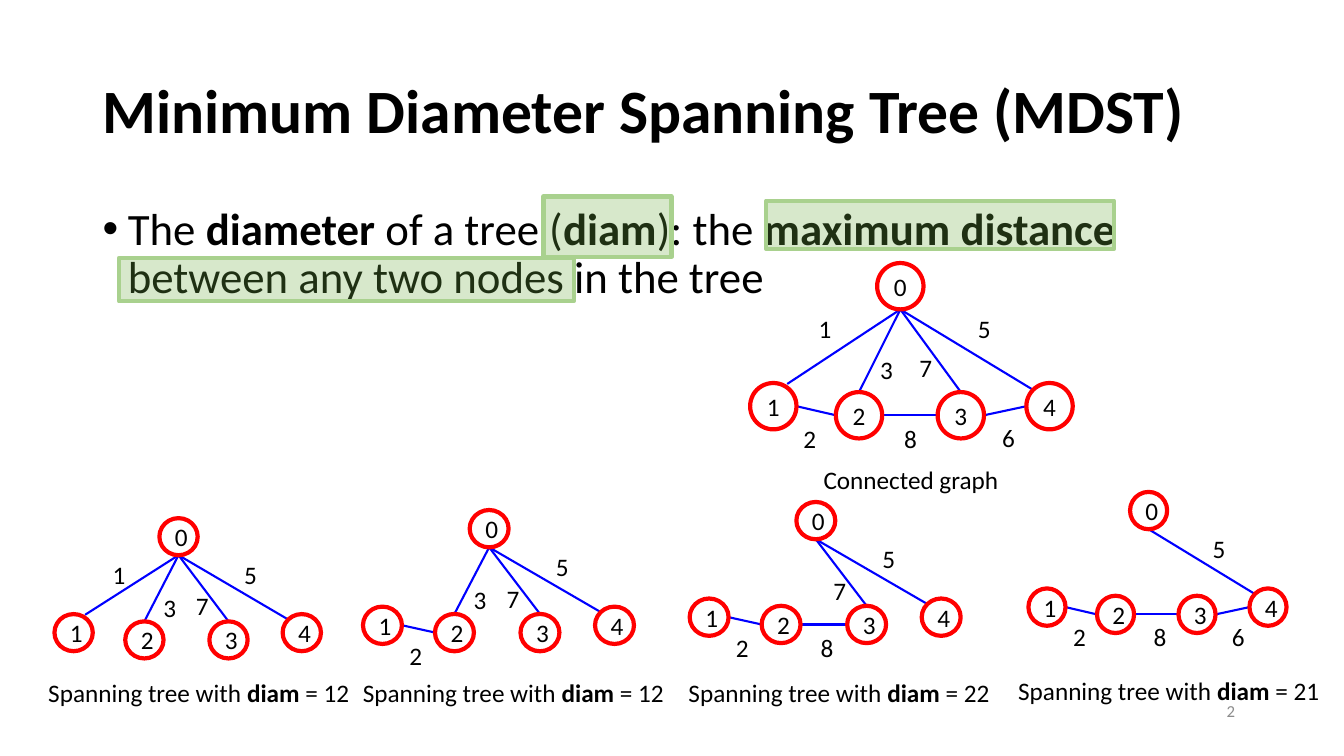
from lxml.etree import SubElement
from pptx import Presentation
from pptx.dml.color import RGBColor
from pptx.enum.shapes import MSO_CONNECTOR, MSO_SHAPE
from pptx.enum.text import MSO_ANCHOR, PP_ALIGN
from pptx.oxml.ns import qn
from pptx.util import Inches, Pt

SLIDE = (13.33, 7.5)
COLORS = {"text": "000000", "node": "FF0000", "edge": "0000FF", "number": "8C8C8C",
          "mark": "70AD47", "mark_line": "A9D18E"}
FONT = "Calibri"

TITLE = [("Minimum Diameter Spanning Tree (MDST)", True)]
DEFINITION = [("The ", False), ("diameter", True), (" of a tree (", False), ("diam", True),
              ("): the ", False), ("maximum distance", True),
              (" between any two nodes in the tree", False)]
PAGE = [("2", False)]
HIGHLIGHTS = [(5.39, 1.95, 1.27, 0.6), (7.6, 1.99, 3.45, 0.48), (1.18, 2.56, 4.51, 0.43)]

NODE = 0.46
NODES = {"0": (1.26, 0), "1": (0, 1.19), "2": (0.85, 1.28), "3": (1.86, 1.28), "4": (2.74, 1.19)}
TOP, BOTTOM, LEFT, RIGHT = (0.5, 0), (0.5, 1), (0, 0.5), (1, 0.5)
EDGES = {
    "1": ("1", (0.8, 0.02), "0", BOTTOM, (0.58, 0.45)),
    "3": ("2", TOP, "0", BOTTOM, (1.19, 0.86)),
    "7": ("3", TOP, "0", BOTTOM, (1.58, 0.84)),
    "5": ("4", (0.15, 0.15), "0", BOTTOM, (2.16, 0.45)),
    "2": ("2", LEFT, "1", RIGHT, (0.43, 1.54)),
    "8": ("3", LEFT, "2", RIGHT, (1.43, 1.54)),
    "6": ("4", LEFT, "3", RIGHT, (2.4, 1.53)),
}


def diam_caption(value):
    return [("Spanning tree with ", False), ("diam", True), (f" = {value}", False)]


GRAPHS = [
    ((0.54, 5.14), (0.826, 0.8), "1375", diam_caption(12), (0.38, 6.67, 3.22)),
    ((7.44, 2.61), (1, 1), "1375286", [("Connected graph", False)], (8.07, 4.56, 1.96)),
    ((3.6, 5.06), (0.84, 0.805), "3752", diam_caption(12), (3.5, 6.67, 3.22)),
    ((6.84, 4.98), (0.84, 0.805), "7528", diam_caption(22), (6.73, 6.67, 3.22)),
    ((10.2, 4.88), (0.8, 0.805), "5286", diam_caption(21), (10, 6.65, 3.22)),
]


def rgb(name):
    return RGBColor.from_string(COLORS[name])


def write(sp, runs, size, color="text", align=PP_ALIGN.LEFT, anchor=MSO_ANCHOR.TOP):
    tf = sp.text_frame
    tf.word_wrap = True
    tf.vertical_anchor = anchor
    p = tf.paragraphs[0]
    p.alignment = align
    for text, bold in runs:
        r = p.add_run()
        r.text = text
        r.font.name = FONT
        r.font.size = Pt(size)
        r.font.bold = bold
        r.font.color.rgb = rgb(color)
    return p


def add_text(s, box, runs, size, **style):
    sp = s.shapes.add_textbox(*map(Inches, box))
    return write(sp, runs, size, **style)


def add_outline(s, kind, box, color):
    sp = s.shapes.add_shape(kind, *map(Inches, box))
    sp.shadow.inherit = False
    sp.fill.background()
    sp.line.color.rgb = rgb(color)
    sp.line.width = Pt(3)
    return sp


def add_edge(s, start, end):
    line = s.shapes.add_connector(MSO_CONNECTOR.STRAIGHT, *map(Inches, start + end))
    line.line.color.rgb = rgb("edge")
    line.line.width = Pt(1.5)
    SubElement(line._element.spPr, qn("a:effectLst"))


def add_graph(s, origin, scale, weights, caption, caption_box):
    def place(x, y):
        return origin[0] + x * scale[0], origin[1] + y * scale[1]

    def port(node, share):
        x, y = NODES[node]
        return place(x + NODE * share[0], y + NODE * share[1])

    for weight in weights:
        a, a_port, b, b_port, label = EDGES[weight]
        add_edge(s, port(a, a_port), port(b, b_port))
        add_text(s, place(*label) + (0.33 * scale[0], 0.4), [(weight, False)], 18)
    for name, spot in NODES.items():
        box = place(*spot) + (NODE * scale[0], NODE * scale[1])
        sp = add_outline(s, MSO_SHAPE.OVAL, box, "node")
        write(sp, [(name, False)], 18, align=PP_ALIGN.CENTER, anchor=MSO_ANCHOR.MIDDLE)
    add_text(s, caption_box + (0.4,), caption, 18)


def main():
    prs = Presentation()
    prs.slide_width, prs.slide_height = map(Inches, SLIDE)
    s = prs.slides.add_slide(prs.slide_layouts[6])

    p = add_text(s, (0.92, 0.4, 11.5, 1.45), TITLE, 44, anchor=MSO_ANCHOR.MIDDLE)
    p.line_spacing = 0.9
    p = add_text(s, (0.92, 2, 11.5, 4.76), DEFINITION, 32)
    p.line_spacing = 0.9
    p.space_before = Pt(10)
    pPr = p._p.get_or_add_pPr()
    pPr.set("marL", str(Inches(0.25)))
    pPr.set("indent", str(-Inches(0.25)))
    SubElement(pPr, qn("a:buFont"), typeface="Arial")
    SubElement(pPr, qn("a:buChar"), char="•")

    for graph in GRAPHS:
        add_graph(s, *graph)
    add_text(s, (9.35, 6.85, 3, 0.4), PAGE, 12, color="number",
             align=PP_ALIGN.RIGHT, anchor=MSO_ANCHOR.MIDDLE)

    for box in HIGHLIGHTS:
        sp = add_outline(s, MSO_SHAPE.RECTANGLE, box, "mark_line")
        sp.fill.solid()
        sp.fill.fore_color.rgb = rgb("mark")
        color = sp._element.spPr.find(qn("a:solidFill")).find(qn("a:srgbClr"))
        SubElement(color, qn("a:alpha"), val="28000")

    prs.save("out.pptx")


if __name__ == "__main__":
    main()
